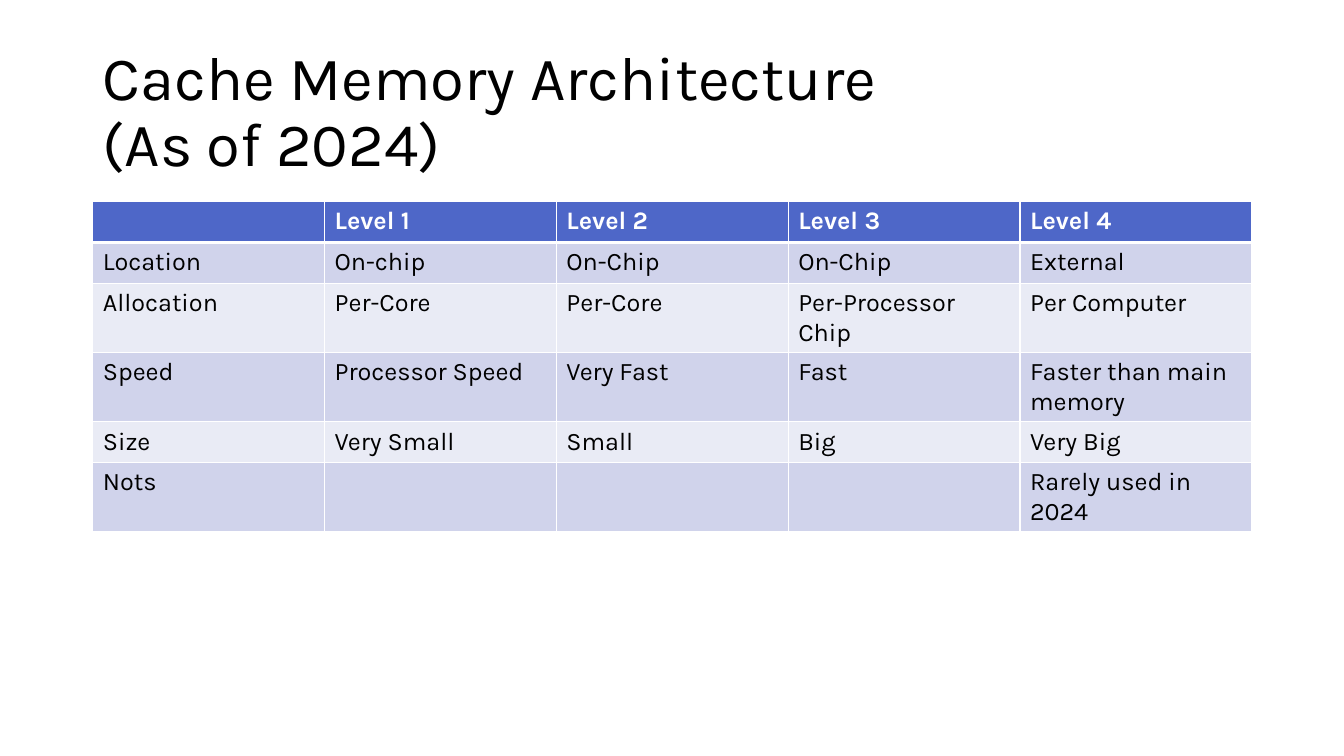
from lxml import etree
from pptx import Presentation
from pptx.dml.color import RGBColor
from pptx.enum.text import MSO_ANCHOR, MSO_AUTO_SIZE, PP_ALIGN
from pptx.oxml.ns import qn
from pptx.util import Inches, Pt

LEFT = PP_ALIGN.LEFT
MIDDLE = MSO_ANCHOR.MIDDLE
NO_AUTOFIT = MSO_AUTO_SIZE.NONE
TITLE_ONLY = 5

LEVELS = [
    ["", "Level 1", "Level 2", "Level 3", "Level 4"],
    ["Location", "On-chip", "On-Chip", "On-Chip", "External"],
    ["Allocation", "Per-Core", "Per-Core", "Per-Processor Chip", "Per Computer"],
    ["Speed", "Processor Speed", "Very Fast", "Fast", "Faster than main memory"],
    ["Size", "Very Small", "Small", "Big", "Very Big"],
    ["Nots", "", "", "", "Rarely used in 2024"],
]


def color(value):
    return RGBColor.from_string(value)


class CacheSlide:
    """Builds the cache slide, with lengths in percent of the slide's size."""

    font = "Karla"
    ink = "000000"
    paper = "FFFFFF"
    header = "4E67C8"
    bands = ("E9EBF5", "D0D3EB")

    def __init__(self, presentation):
        self.width = presentation.slide_width
        self.height = presentation.slide_height
        self.slide = presentation.slides.add_slide(
            presentation.slide_layouts[TITLE_ONLY])

    def place(self, left, top, width, height):
        return (round(self.width * left / 100), round(self.height * top / 100),
                round(self.width * width / 100), round(self.height * height / 100))

    def set_text(self, paragraph, text, size, ink, bold=False):
        paragraph.text = text
        paragraph.alignment = LEFT
        for run in paragraph.runs:
            run.font.name = self.font
            run.font.size = Pt(size)
            run.font.bold = bold
            run.font.color.rgb = color(ink)

    def title(self, text, box):
        shape = self.slide.shapes.title
        shape.left, shape.top, shape.width, shape.height = self.place(*box)
        frame = shape.text_frame
        frame.word_wrap = True
        frame.auto_size = NO_AUTOFIT
        frame.vertical_anchor = MIDDLE
        paragraph = frame.paragraphs[0]
        self.set_text(paragraph, text, 44, self.ink)
        paragraph.line_spacing = 0.9

    def border(self, cell, side, points):
        properties = cell._tc.get_or_add_tcPr()
        line = etree.SubElement(properties, qn(f"a:ln{side}"), w=str(Pt(points)))
        fill = etree.SubElement(line, qn("a:solidFill"))
        etree.SubElement(fill, qn("a:srgbClr"), val=self.paper)

    def table(self, rows, box):
        shape = self.slide.shapes.add_table(
            len(rows), len(rows[0]), *self.place(*box))
        for row_index, row in enumerate(rows):
            is_header = row_index == 0
            background = self.header if is_header else self.bands[row_index % 2]
            widths = {"L": 1, "R": 1, "T": 3 if row_index == 1 else 1,
                      "B": 3 if is_header else 1}
            for column_index, text in enumerate(row):
                cell = shape.table.cell(row_index, column_index)
                for side, points in widths.items():
                    self.border(cell, side, points)
                cell.fill.solid()
                cell.fill.fore_color.rgb = color(background)
                self.set_text(cell.text_frame.paragraphs[0], text, 18,
                              self.paper if is_header else self.ink, is_header)


def main():
    presentation = Presentation()
    presentation.slide_width = Inches(13.33)
    presentation.slide_height = Inches(7.5)
    page = CacheSlide(presentation)
    page.title("Cache Memory Architecture\v(As of 2024)", (6.9, 5.33, 86.25, 19.33))
    page.table(LEVELS, (6.9, 26.67, 86.25, 5.41 * len(LEVELS)))
    presentation.save("out.pptx")


if __name__ == "__main__":
    main()
